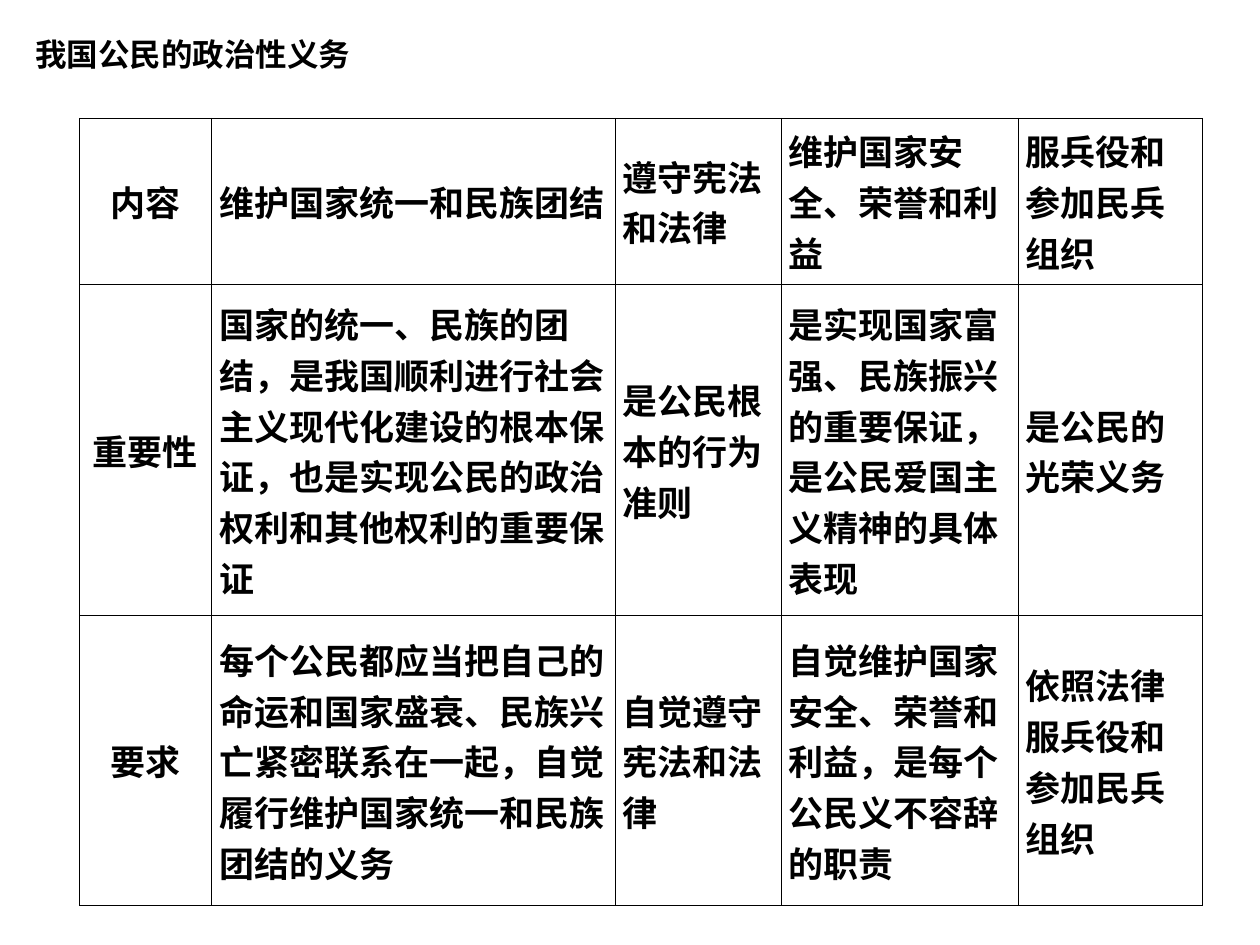
from dataclasses import dataclass
from typing import NamedTuple

import lxml.etree
import pptx
import pptx.dml.color
import pptx.enum.text
import pptx.oxml.ns
import pptx.table
import pptx.text.text
import pptx.util

SLIDE_WIDTH = pptx.util.Inches(10)
SLIDE_HEIGHT = pptx.util.Inches(7.5)


@dataclass(frozen=True)
class Theme:
    ink: str = "000000"
    latin_font: str = "Calibri"
    chinese_font: str = "Noto Sans CJK SC"
    title_size: float = 18
    cell_size: float = 20
    border_width: float = 0.45


class Duty(NamedTuple):
    """One political duty: a column of the table."""

    width: float
    content: str
    importance: str
    requirement: str


THEME = Theme()
TITLE = "我国公民的政治性义务"
TABLE_LEFT, TABLE_TOP = 0.063, 0.125  # shares of the slide
ROW_HEIGHTS = (1.32, 2.63, 2.3)
COLUMNS = (
    Duty(1.05, "内容", "重要性", "要求"),
    Duty(
        3.2,
        "维护国家统一和民族团结",
        "国家的统一、民族的团结，是我国顺利进行社会主义现代化建设的根本保证，"
        "也是实现公民的政治权利和其他权利的重要保证",
        "每个公民都应当把自己的命运和国家盛衰、民族兴亡紧密联系在一起，"
        "自觉履行维护国家统一和民族团结的义务",
    ),
    Duty(1.32, "遵守宪法和法律", "是公民根本的行为准则", "自觉遵守宪法和法律"),
    Duty(
        1.88,
        "维护国家安全、荣誉和利益",
        "是实现国家富强、民族振兴的重要保证，是公民爱国主义精神的具体表现",
        "自觉维护国家安全、荣誉和利益，是每个公民义不容辞的职责",
    ),
    Duty(1.46, "服兵役和参加民兵组织", "是公民的光荣义务", "依照法律服兵役和参加民兵组织"),
)


def format_text(para: pptx.text.text._Paragraph, size: float, latin_font: str) -> None:
    """Style the runs and keep punctuation inside the margins."""
    para._p.get_or_add_pPr().set("hangingPunct", "0")
    for span in para.runs:
        span.font.size = pptx.util.Pt(size)
        span.font.bold = True
        span.font.name = latin_font
        span.font.color.rgb = pptx.dml.color.RGBColor.from_string(THEME.ink)
        east_asian = lxml.etree.SubElement(
            span.font._element, pptx.oxml.ns.qn("a:ea")
        )
        east_asian.set("typeface", THEME.chinese_font)


def draw_borders(cell: pptx.table._Cell) -> None:
    properties = cell._tc.get_or_add_tcPr()
    for side in ("a:lnL", "a:lnR", "a:lnT", "a:lnB"):
        line = lxml.etree.SubElement(properties, pptx.oxml.ns.qn(side))
        line.set("w", str(int(pptx.util.Pt(THEME.border_width))))
        fill = lxml.etree.SubElement(line, pptx.oxml.ns.qn("a:solidFill"))
        color = lxml.etree.SubElement(fill, pptx.oxml.ns.qn("a:srgbClr"))
        color.set("val", THEME.ink)


def fill_cell(cell: pptx.table._Cell, text: str, is_label: bool) -> None:
    cell.text = text
    cell.vertical_anchor = pptx.enum.text.MSO_ANCHOR.MIDDLE
    cell.margin_left = cell.margin_right = pptx.util.Inches(0.06)
    cell.margin_top = cell.margin_bottom = pptx.util.Inches(0.05)
    draw_borders(cell)
    cell.fill.background()
    para = cell.text_frame.paragraphs[0]
    alignment = pptx.enum.text.PP_ALIGN
    para.alignment = alignment.CENTER if is_label else alignment.LEFT
    format_text(para, THEME.cell_size, THEME.chinese_font)


def add_title(slide) -> None:
    box = slide.shapes.add_textbox(
        int(SLIDE_WIDTH * 0.018),
        int(SLIDE_HEIGHT * 0.031),
        int(SLIDE_WIDTH * 0.27),
        pptx.util.Inches(0.4),
    )
    frame = box.text_frame
    frame.text = TITLE
    frame.word_wrap = False
    frame.auto_size = pptx.enum.text.MSO_AUTO_SIZE.SHAPE_TO_FIT_TEXT
    format_text(frame.paragraphs[0], THEME.title_size, THEME.latin_font)


def add_duty_table(slide) -> None:
    table = slide.shapes.add_table(
        len(ROW_HEIGHTS),
        len(COLUMNS),
        int(SLIDE_WIDTH * TABLE_LEFT),
        int(SLIDE_HEIGHT * TABLE_TOP),
        pptx.util.Inches(sum(duty.width for duty in COLUMNS)),
        pptx.util.Inches(sum(ROW_HEIGHTS)),
    ).table
    table.first_row = table.horz_banding = False
    for row, height in zip(table.rows, ROW_HEIGHTS):
        row.height = pptx.util.Inches(height)
    for column_index, duty in enumerate(COLUMNS):
        table.columns[column_index].width = pptx.util.Inches(duty.width)
        texts = (duty.content, duty.importance, duty.requirement)
        for row_index, text in enumerate(texts):
            fill_cell(table.cell(row_index, column_index), text, column_index == 0)


def main() -> None:
    deck = pptx.Presentation()
    deck.slide_width, deck.slide_height = SLIDE_WIDTH, SLIDE_HEIGHT
    slide = deck.slides.add_slide(deck.slide_layouts[6])
    add_title(slide)
    add_duty_table(slide)
    deck.save("out.pptx")


if __name__ == "__main__":
    main()
